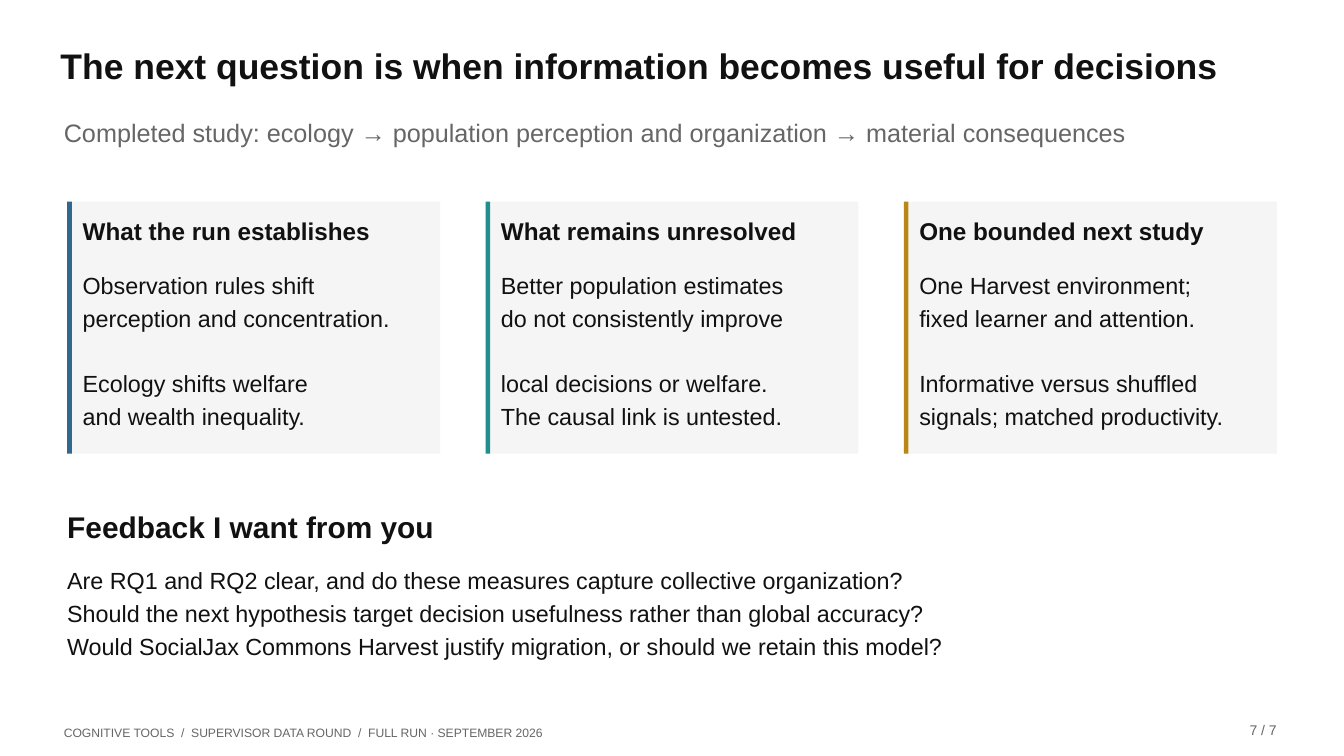
from dataclasses import dataclass

from pptx import Presentation
from pptx.dml.color import RGBColor
from pptx.enum.shapes import MSO_SHAPE
from pptx.enum.text import MSO_AUTO_SIZE, PP_ALIGN
from pptx.util import Inches, Pt

RECT = MSO_SHAPE.RECTANGLE
GROW = MSO_AUTO_SIZE.SHAPE_TO_FIT_TEXT
LEFT, RIGHT = PP_ALIGN.LEFT, PP_ALIGN.RIGHT


@dataclass(frozen=True)
class Theme:
    font: str = "Arial"
    ink: str = "111111"
    muted: str = "666666"
    panel: str = "F5F5F5"
    blue: str = "31688E"
    teal: str = "218F8D"
    gold: str = "B88718"
    title: int = 38
    subtitle: int = 27
    section: int = 32
    card_head: int = 26
    body: int = 25
    page: int = 15
    footer: int = 13
    after: int = 4
    leading: float = 1.05
    group_gap: int = 34


T = Theme()

# Card: accent colour, heading, groups of lines
CARDS = [
    (T.blue, "What the run establishes", [
        ["Observation rules shift", "perception and concentration."],
        ["Ecology shifts welfare", "and wealth inequality."]]),
    (T.teal, "What remains unresolved", [
        ["Better population estimates", "do not consistently improve"],
        ["local decisions or welfare.", "The causal link is untested."]]),
    (T.gold, "One bounded next study", [
        ["One Harvest environment;", "fixed learner and attention."],
        ["Informative versus shuffled", "signals; matched productivity."]]),
]
CARD_LEFT, CARD_TOP, CARD_W, CARD_H = 1, 3, 5.55, 3.75
CARD_PITCH = 6.225

QUESTIONS = [
    "Are RQ1 and RQ2 clear, and do these measures capture collective organization?",
    "Should the next hypothesis target decision usefulness rather than global accuracy?",
    "Would SocialJax Commons Harvest justify migration, or should we retain this model?",
]


def apply(target, values):
    for name, value in values.items():
        setattr(target, name, value)


def add_text(s, box, groups, size, color=T.ink, bold=False, align=LEFT):
    """Text box with groups of lines, a wider gap parting the groups."""
    tf = s.shapes.add_textbox(*map(Inches, box)).text_frame
    apply(tf, dict(margin_left=0, margin_top=0, margin_right=0,
                   margin_bottom=0, word_wrap=True, auto_size=GROW))
    lines = [(text, g > 0 and i == 0)
             for g, group in enumerate(groups) for i, text in enumerate(group)]
    for n, (text, opens_group) in enumerate(lines):
        p = tf.add_paragraph() if n else tf.paragraphs[0]
        apply(p, dict(alignment=align, space_after=Pt(T.after),
                      line_spacing=T.leading))
        if opens_group:
            p.space_before = Pt(T.group_gap)
        r = p.add_run()
        r.text = text
        apply(r.font, dict(name=T.font, size=Pt(size), bold=bold))
        r.font.color.rgb = RGBColor.from_string(color)


def add_rect(s, box, color):
    sp = s.shapes.add_shape(RECT, *map(Inches, box))
    sp.shadow.inherit = False
    sp.fill.solid()
    sp.fill.fore_color.rgb = RGBColor.from_string(color)
    sp.line.fill.background()


def add_card(s, x, accent, heading, groups):
    add_rect(s, (x, CARD_TOP, CARD_W, CARD_H), T.panel)
    add_rect(s, (x, CARD_TOP, 0.07, CARD_H), accent)
    text_x = x + 0.23
    add_text(s, (text_x, CARD_TOP + 0.2, 5.1, 0.7), [[heading]],
             T.card_head, bold=True)
    add_text(s, (text_x, CARD_TOP + 1.02, 5.1, 2.62), groups, T.body)


def main():
    prs = Presentation()
    apply(prs, dict(slide_width=Inches(20), slide_height=Inches(11.25)))
    s = prs.slides.add_slide(prs.slide_layouts[6])

    # Title and subtitle
    add_text(s, (0.9, 0.63, 18.15, 0.95),
             [["The next question is when information becomes useful for decisions"]],
             T.title, bold=True)
    add_text(s, (0.95, 1.73, 18.1, 0.85),
             [["Completed study: ecology → population perception and organization"
               " → material consequences"]],
             T.subtitle, T.muted)

    # Footer and page number
    add_text(s, (0.95, 10.79, 15, 0.28),
             [["COGNITIVE TOOLS  /  SUPERVISOR DATA ROUND  /  FULL RUN · SEPTEMBER 2026"]],
             T.footer, T.muted)
    add_text(s, (18, 10.72, 1, 0.35), [["7 / 7"]], T.page, T.muted, align=RIGHT)

    # Three cards
    for i, card in enumerate(CARDS):
        add_card(s, CARD_LEFT + i * CARD_PITCH, *card)

    # Feedback questions
    add_text(s, (1, 7.55, 17.9, 0.7), [["Feedback I want from you"]],
             T.section, bold=True)
    add_text(s, (1, 8.4, 17.8, 1.65), [QUESTIONS], T.body)

    prs.save("out.pptx")


if __name__ == "__main__":
    main()
